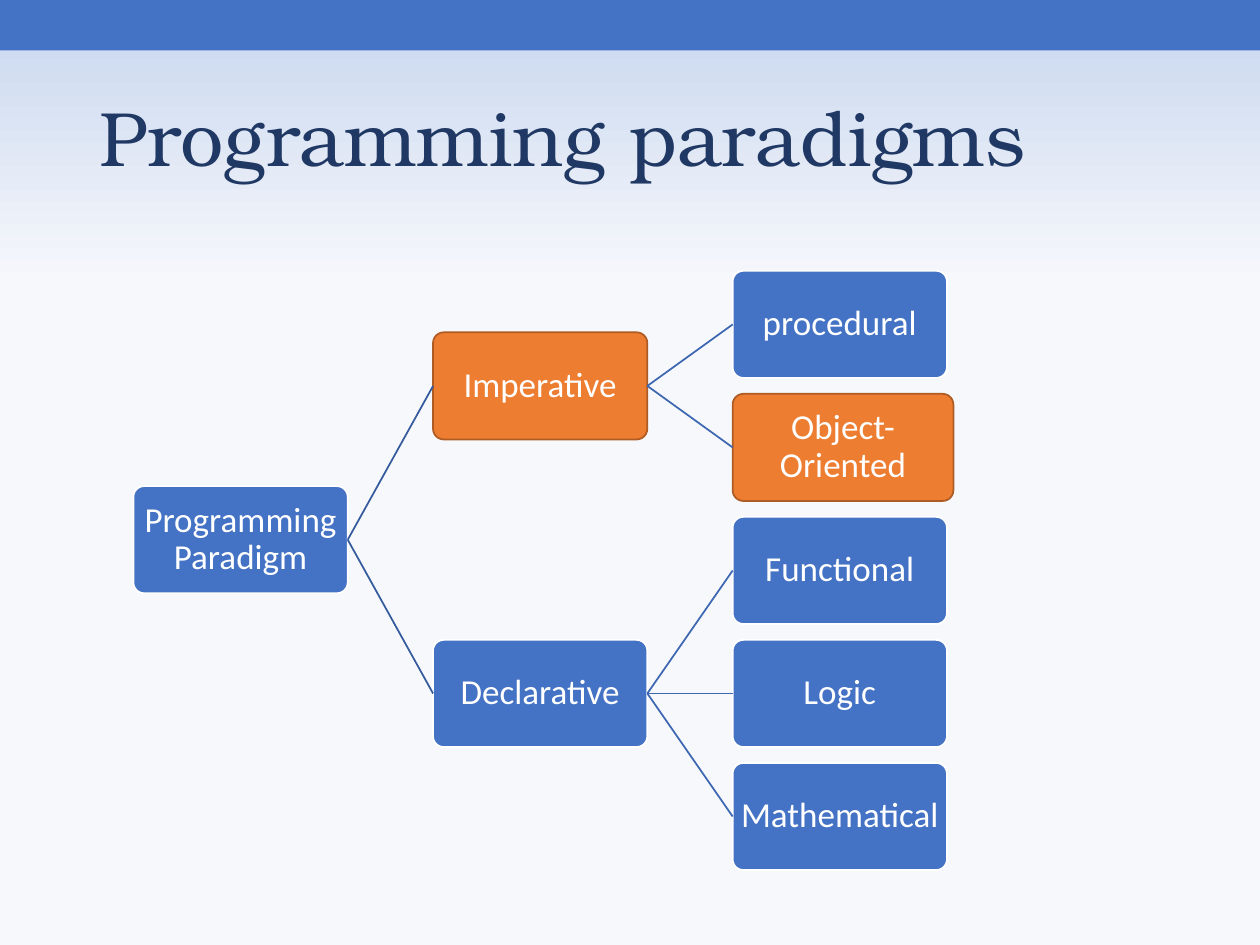
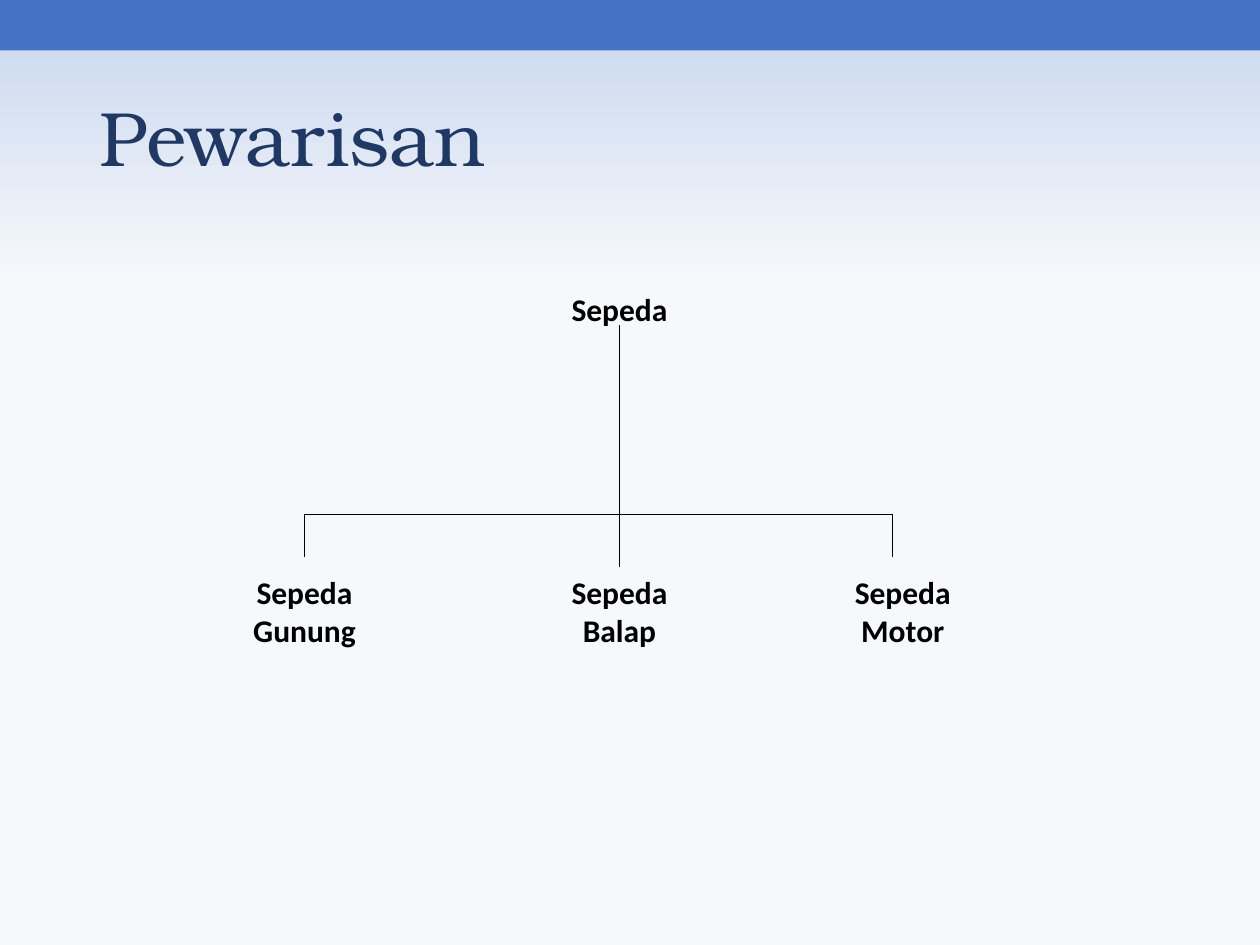
from dataclasses import dataclass
from typing import Any

import lxml.etree
import pptx
import pptx.dml.color
import pptx.enum.shapes
import pptx.enum.text
import pptx.oxml.ns
import pptx.util

Cm = pptx.util.Cm
Pt = pptx.util.Pt
Kind = pptx.enum.shapes.MSO_SHAPE
Anchor = pptx.enum.text.MSO_ANCHOR
Align = pptx.enum.text.PP_ALIGN
Fit = pptx.enum.text.MSO_AUTO_SIZE

# Shared look
BLUE, ORANGE, RUST = "4472C4", "ED7D31", "AF5C24"
NAVY, WHITE, BLACK = "203864", "FFFFFF", "000000"
SKY, PALE = "C7D5ED", "F6F8FC"
WIDE, HIGH = 25.4, 19.05
HEAD = {"name": "TeX Gyre Bonum", "size": Pt(44)}
NODE = {"name": "Calibri", "size": Pt(20)}
LABEL = {"name": "Calibri", "size": Pt(18), "bold": True}

# Tree grid in cm
LEFT, TOP = 2.69, 5.46
BOX_W, BOX_H = 4.32, 2.16
STEP_X, STEP_Y = 6.04, 2.48
LINKS = ("365B9D", "3E67B2")  # line colour by level


@dataclass
class Node:
    name: str
    kids: tuple["Node", ...] = ()
    hot: bool = False
    width: float = BOX_W


@dataclass
class Label:
    text: str
    left: float
    top: float
    height: float


@dataclass
class Line:
    x1: float
    y1: float
    x2: float
    y2: float
    color: str = BLACK
    width: float = 0.75


TREE = Node("Programming Paradigm", (
    Node("Imperative", (
        Node("procedural"),
        Node("Object-Oriented", hot=True, width=4.45),
    ), hot=True),
    Node("Declarative", (
        Node("Functional"), Node("Logic"), Node("Mathematical"),
    )),
))


def rgb(code: str) -> pptx.dml.color.RGBColor:
    return pptx.dml.color.RGBColor.from_string(code)


def apply(target: Any, values: dict[str, Any]) -> None:
    for key, value in values.items():
        setattr(target, key, value)


def write(shape: Any, text: str, font: dict[str, Any], color: str,
          para: dict[str, Any], frame: dict[str, Any]) -> None:
    body = shape.text_frame
    body.text = text
    apply(body, {"word_wrap": True, "auto_size": Fit.NONE, **frame})
    first = body.paragraphs[0]
    apply(first, para)
    run = first.runs[0]
    apply(run.font, font)
    run.font.color.rgb = rgb(color)


def add_box(slide: Any, kind: Any, place: tuple[float, ...], fill: str) -> Any:
    box = slide.shapes.add_shape(kind, *map(Cm, place))
    box.shadow.inherit = False
    box.fill.solid()
    box.fill.fore_color.rgb = rgb(fill)
    box.line.fill.background()
    return box


def add_line(slide: Any, line: Line) -> Any:
    ends = map(Cm, (line.x1, line.y1, line.x2, line.y2))
    link = slide.shapes.add_connector(
        pptx.enum.shapes.MSO_CONNECTOR.STRAIGHT, *ends)
    link.line.color.rgb = rgb(line.color)
    link.line.width = Pt(line.width)
    props = link._element.spPr
    lxml.etree.SubElement(props, pptx.oxml.ns.qn("a:effectLst"))
    return link


def add_page(deck: Any, title: str) -> Any:
    slide = deck.slides.add_slide(deck.slide_layouts[5])
    # Background and top band
    fill = slide.background.fill
    fill.gradient()
    fill.gradient_angle = 270
    for stop, (spot, color) in zip(fill.gradient_stops,
                                   ((0, SKY), (0.3, PALE))):
        stop.color.rgb = rgb(color)
        stop.position = spot
    add_box(slide, Kind.RECTANGLE, (0, 0, WIDE, 1.02), BLUE)
    # Title
    head = slide.shapes.title
    apply(head, {"left": Cm(1.75), "top": Cm(1.02),
                 "width": Cm(21.9), "height": Cm(3.68)})
    write(head, title, HEAD, NAVY,
          {"alignment": Align.LEFT, "line_spacing": 0.9},
          {"vertical_anchor": Anchor.MIDDLE})
    return slide


def add_node(slide: Any, node: Node, level: int, row: int) -> tuple[Any, float, int]:
    """Draw a branch; give its box, its row and the next free row."""
    subs = []
    spot, after = float(row), row + 1
    if node.kids:
        after = row
        for kid in node.kids:
            sub, line, after = add_node(slide, kid, level + 1, after)
            subs.append((sub, line))
        spot = (subs[0][1] + subs[-1][1]) / 2
    # Box
    place = (LEFT + level * STEP_X, TOP + spot * STEP_Y, node.width, BOX_H)
    box = add_box(slide, Kind.ROUNDED_RECTANGLE, place,
                  ORANGE if node.hot else BLUE)
    box.adjustments[0] = 0.1
    box.line.color.rgb = rgb(RUST if node.hot else WHITE)
    box.line.width = Pt(1)
    sides = ("left", "right", "top", "bottom")
    write(box, node.name, NODE, WHITE,
          {"alignment": Align.CENTER, "line_spacing": 0.9},
          {"vertical_anchor": Anchor.MIDDLE,
           **{f"margin_{side}": Cm(0.09) for side in sides}})
    # Links to the children
    for sub, _ in subs:
        link = add_line(slide, Line(0, 0, 1, 1, LINKS[level], 1))
        link.begin_connect(box, 3)
        link.end_connect(sub, 1)
    return box, spot, after


def add_label(slide: Any, label: Label) -> Any:
    box = slide.shapes.add_textbox(
        *map(Cm, (label.left, label.top, 3.38, label.height)))
    write(box, label.text, LABEL, BLACK, {"alignment": Align.CENTER}, {})
    return box


def draw_bikes(slide: Any) -> None:
    # Labels
    add_label(slide, Label("Sepeda", 10.8, 5.72, 1.02))
    names = ("Sepeda Gunung", "Sepeda Balap", "Sepeda Motor")
    kids = [add_label(slide, Label(name, left, 11.43, 1.78))
            for name, left in zip(names, (4.45, 10.8, 16.51))]
    # Trunk, bar and drops
    west, mid, east, bar = 6.14, 12.49, 17.99, 10.37
    trunk = add_line(slide, Line(mid, 6.56, mid, 11.43))
    trunk.end_connect(kids[1], 0)
    add_line(slide, Line(west, bar, east, bar))
    for x in (west, east):
        add_line(slide, Line(x, bar, x, 11.22))


def main() -> None:
    deck = pptx.Presentation()
    apply(deck, {"slide_width": Cm(WIDE), "slide_height": Cm(HIGH)})
    add_node(add_page(deck, "Programming paradigms"), TREE, 0, 0)
    draw_bikes(add_page(deck, "Pewarisan"))
    deck.save("out.pptx")


if __name__ == "__main__":
    main()
